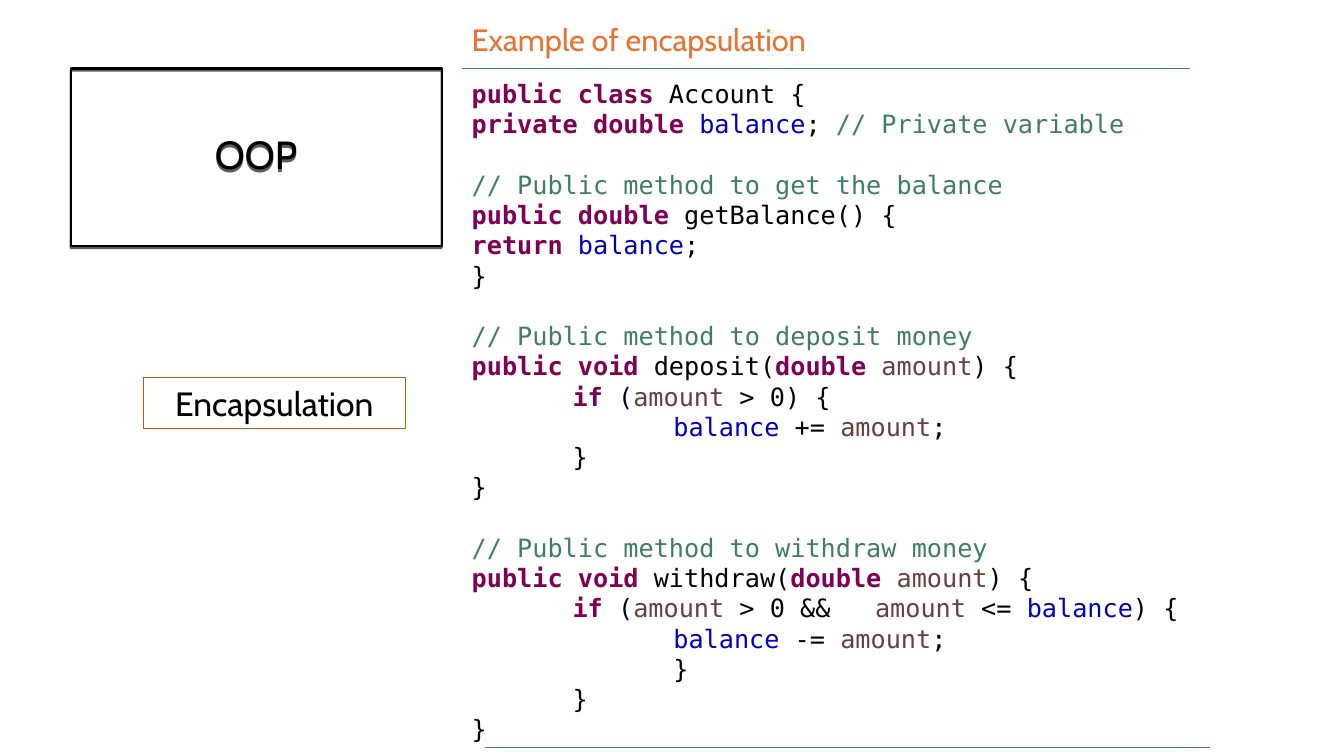
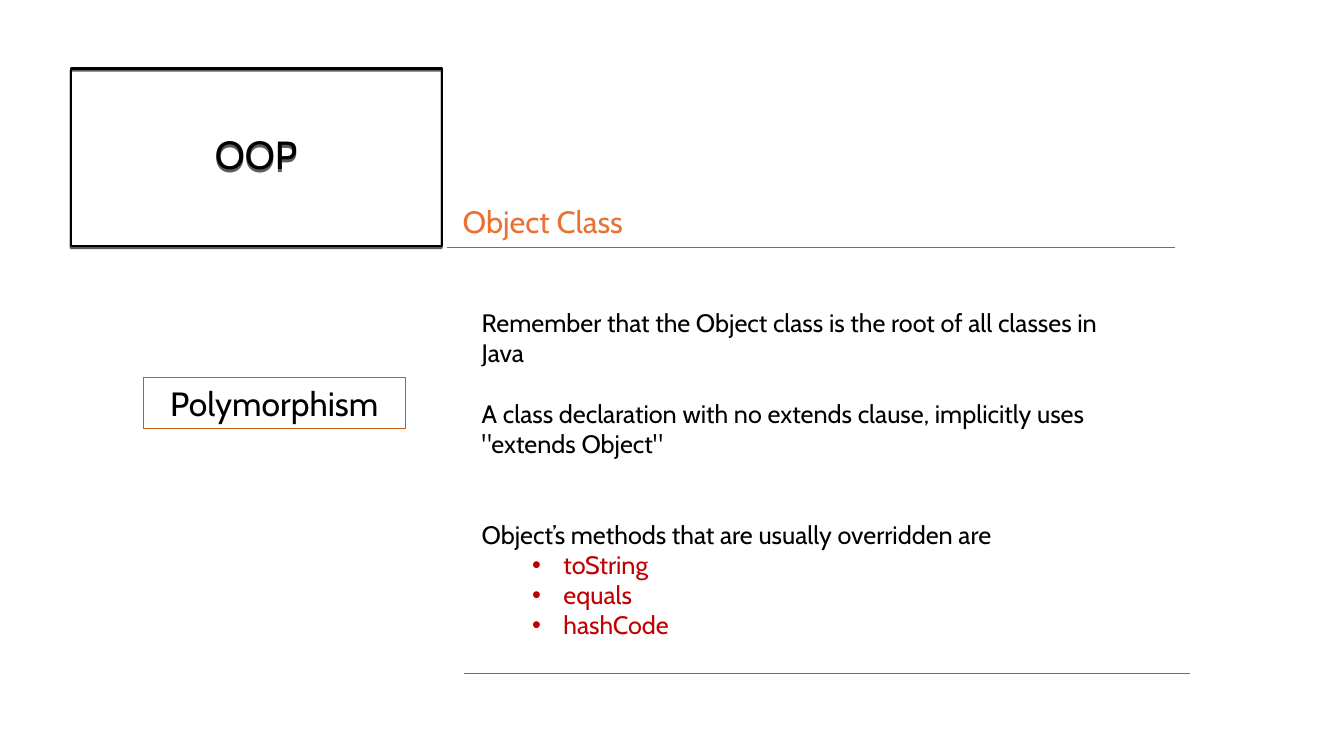
from dataclasses import dataclass
from itertools import groupby

from lxml.etree import SubElement
from pptx import Presentation
from pptx.dml.color import RGBColor
from pptx.enum.shapes import MSO_CONNECTOR as Connector, MSO_SHAPE as Preset
from pptx.enum.text import MSO_ANCHOR as Anchor, MSO_AUTO_SIZE as AutoSize, PP_ALIGN as Align
from pptx.oxml.ns import qn
from pptx.util import Inches, Pt


@dataclass(frozen=True)
class Theme:
    font: str = "Cabin"
    code_font: str = "DejaVu Sans Mono"
    title_size: float = 28
    label_size: float = 24
    heading_size: float = 22
    body_size: float = 18
    line_pitch: float = 21.6
    black: str = "000000"
    heading: str = "E97132"
    rule: str = "4472C4"
    label_border: str = "C55A11"
    bullet: str = "C00000"
    keyword: str = "7F0055"
    field: str = "0000C0"
    parameter: str = "6A3E3E"
    comment: str = "3F7F5F"


@dataclass(frozen=True)
class Box:
    left: float
    top: float
    width: float
    height: float

    def lengths(self) -> tuple:
        return tuple(Inches(n) for n in (self.left, self.top, self.width, self.height))


@dataclass(frozen=True)
class Rule:
    left: float
    right: float
    top: float


@dataclass(frozen=True)
class Topic:
    label: str
    heading: str
    heading_box: Box
    rules: tuple


@dataclass(frozen=True)
class BodyLine:
    text: str
    lines_before: int = 0
    bullet: bool = False


THEME = Theme()
TITLE_BOX = Box(0.7, 0.68, 3.68, 1.76)
LABEL_BOX = Box(1.42, 3.75, 2.6, 0.5)
CODE_BOX = Box(4.58, 0.73, 8.39, 6.77)
BODY_BOX = Box(4.68, 3, 6.73, 3.44)

ENCAPSULATION = Topic(
    "Encapsulation", "Example of encapsulation", Box(4.58, 0.16, 6.67, 0.47),
    (Rule(4.58, 11.8, 0.68), Rule(4.81, 12, 7.41)),
)
POLYMORPHISM = Topic(
    "Polymorphism", "Object Class", Box(4.49, 1.96, 2.6, 0.47),
    (Rule(4.43, 11.65, 2.45), Rule(4.6, 11.8, 6.68)),
)

WORD_COLORS = {
    **dict.fromkeys(("public", "private", "class", "double", "void", "return", "if"), THEME.keyword),
    "balance": THEME.field,
    "amount": THEME.parameter,
}
CODE_BLOCKS = (
    (
        "public class Account {",
        "private double balance; // Private variable",
    ),
    (
        "// Public method to get the balance",
        "public double getBalance() {",
        "return balance;",
        "}",
    ),
    (
        "// Public method to deposit money",
        "public void deposit(double amount) {",
        "\tif (amount > 0) {",
        "\t\tbalance += amount;",
        "\t}",
        "}",
    ),
    (
        "// Public method to withdraw money",
        "public void withdraw(double amount) {",
        "\tif (amount > 0 && \tamount <= balance) {",
        "\t\tbalance -= amount;",
        "\t\t}",
        "\t}",
        "}",
    ),
)
BODY_LINES = (
    BodyLine("Remember that the Object class is the root of all classes in Java"),
    BodyLine("A class declaration with no extends clause, implicitly uses \"extends Object\"", 1),
    BodyLine("Object’s methods that are usually overridden are", 2),
    BodyLine("toString", bullet=True),
    BodyLine("equals", bullet=True),
    BodyLine("hashCode", bullet=True),
)


def format_run(run, size: float, color: str, font: str = THEME.font, bold: bool = False) -> None:
    run.font.name = font
    run.font.size = Pt(size)
    run.font.bold = bold
    run.font.color.rgb = RGBColor.from_string(color)


def set_line(line, color: str, width: float) -> None:
    line.color.rgb = RGBColor.from_string(color)
    line.width = Pt(width)


def set_text(shape, text: str, size: float, color: str, align=Align.LEFT):
    frame = shape.text_frame
    frame.word_wrap = True
    frame.text = text
    paragraph = frame.paragraphs[0]
    paragraph.alignment = align
    format_run(paragraph.runs[0], size, color)
    return paragraph


def next_paragraph(frame, first: bool, lines_before: int):
    paragraph = frame.paragraphs[0] if first else frame.add_paragraph()
    paragraph.line_spacing = Pt(THEME.line_pitch)
    paragraph.space_before = Pt(lines_before * THEME.line_pitch)
    return paragraph


def add_drop_shadow(shape) -> None:
    effects = SubElement(shape.element.spPr, qn("a:effectLst"))
    shadow = SubElement(effects, qn("a:outerShdw"), blurRad="0", dist=str(Pt(1.5)),
                        dir="5400000", algn="t", rotWithShape="0")
    color = SubElement(shadow, qn("a:srgbClr"), val=THEME.black)
    SubElement(color, qn("a:alpha"), val="63000")


def format_title(title) -> None:
    title.left, title.top, title.width, title.height = TITLE_BOX.lengths()
    title.fill.background()
    set_line(title.line, THEME.black, 1.5)
    add_drop_shadow(title)
    title.text_frame.auto_size = AutoSize.NONE
    title.text_frame.vertical_anchor = Anchor.MIDDLE
    set_text(title, "OOP", THEME.title_size, THEME.black, Align.CENTER).line_spacing = 0.9


def add_rule(slide, rule: Rule) -> None:
    top = Inches(rule.top)
    connector = slide.shapes.add_connector(
        Connector.STRAIGHT, Inches(rule.left), top, Inches(rule.right), top)
    set_line(connector.line, THEME.rule, 0.5)
    SubElement(connector.element.spPr, qn("a:effectLst"))


def add_label(slide, text: str) -> None:
    label = slide.shapes.add_shape(Preset.RECTANGLE, *LABEL_BOX.lengths())
    label.shadow.inherit = False
    label.fill.background()
    set_line(label.line, THEME.label_border, 0.75)
    label.text_frame.vertical_anchor = Anchor.MIDDLE
    set_text(label, text, THEME.label_size, THEME.black, Align.CENTER)


def add_topic_slide(presentation, topic: Topic):
    """Add a slide with everything the topics share, ready for its content."""
    slide = presentation.slides.add_slide(presentation.slide_layouts[5])
    format_title(slide.shapes.title)
    for rule in topic.rules:
        add_rule(slide, rule)
    add_label(slide, topic.label)
    heading = slide.shapes.add_textbox(*topic.heading_box.lengths())
    set_text(heading, topic.heading, THEME.heading_size, THEME.heading)
    return slide


def color_code(line: str) -> list[tuple[str, str]]:
    """Split a line of code into pieces of one colour each."""
    code, slashes, comment = line.partition("//")
    words = ["".join(letters) for _, letters in groupby(code, str.isalnum)]
    groups = groupby(words, lambda word: WORD_COLORS.get(word, THEME.black))
    pieces = [("".join(group), color) for color, group in groups]
    if slashes:
        pieces.append((slashes + comment, THEME.comment))
    return pieces


def add_tab_stops(paragraph, count: int) -> None:
    stops = SubElement(paragraph._p.get_or_add_pPr(), qn("a:tabLst"))
    for number in range(1, count + 1):
        SubElement(stops, qn("a:tab"), pos=str(Inches(number)), algn="l")


def add_code(slide) -> None:
    frame = slide.shapes.add_textbox(*CODE_BOX.lengths()).text_frame
    frame.word_wrap = True
    for block_index, block in enumerate(CODE_BLOCKS):
        for line_index, line in enumerate(block):
            first = block_index == line_index == 0
            starts_later_block = block_index > 0 and line_index == 0
            paragraph = next_paragraph(frame, first, int(starts_later_block))
            add_tab_stops(paragraph, 4)
            for text, color in color_code(line):
                run = paragraph.add_run()
                run.text = text
                format_run(run, THEME.body_size, color, THEME.code_font, color == THEME.keyword)


def add_bullet(paragraph) -> None:
    properties = paragraph._p.get_or_add_pPr()
    properties.set("marL", str(Inches(0.81)))
    properties.set("indent", str(Inches(-0.31)))
    SubElement(properties, qn("a:buFont"), typeface="Arial")
    SubElement(properties, qn("a:buChar"), char="•")


def add_body(slide) -> None:
    frame = slide.shapes.add_textbox(*BODY_BOX.lengths()).text_frame
    frame.word_wrap = True
    for index, line in enumerate(BODY_LINES):
        paragraph = next_paragraph(frame, index == 0, line.lines_before)
        paragraph.text = line.text
        format_run(paragraph.runs[0], THEME.body_size, THEME.bullet if line.bullet else THEME.black)
        if line.bullet:
            add_bullet(paragraph)


def main() -> None:
    presentation = Presentation()
    presentation.slide_width = Inches(13.33)
    presentation.slide_height = Inches(7.5)
    add_code(add_topic_slide(presentation, ENCAPSULATION))
    add_body(add_topic_slide(presentation, POLYMORPHISM))
    presentation.save("out.pptx")


if __name__ == "__main__":
    main()
